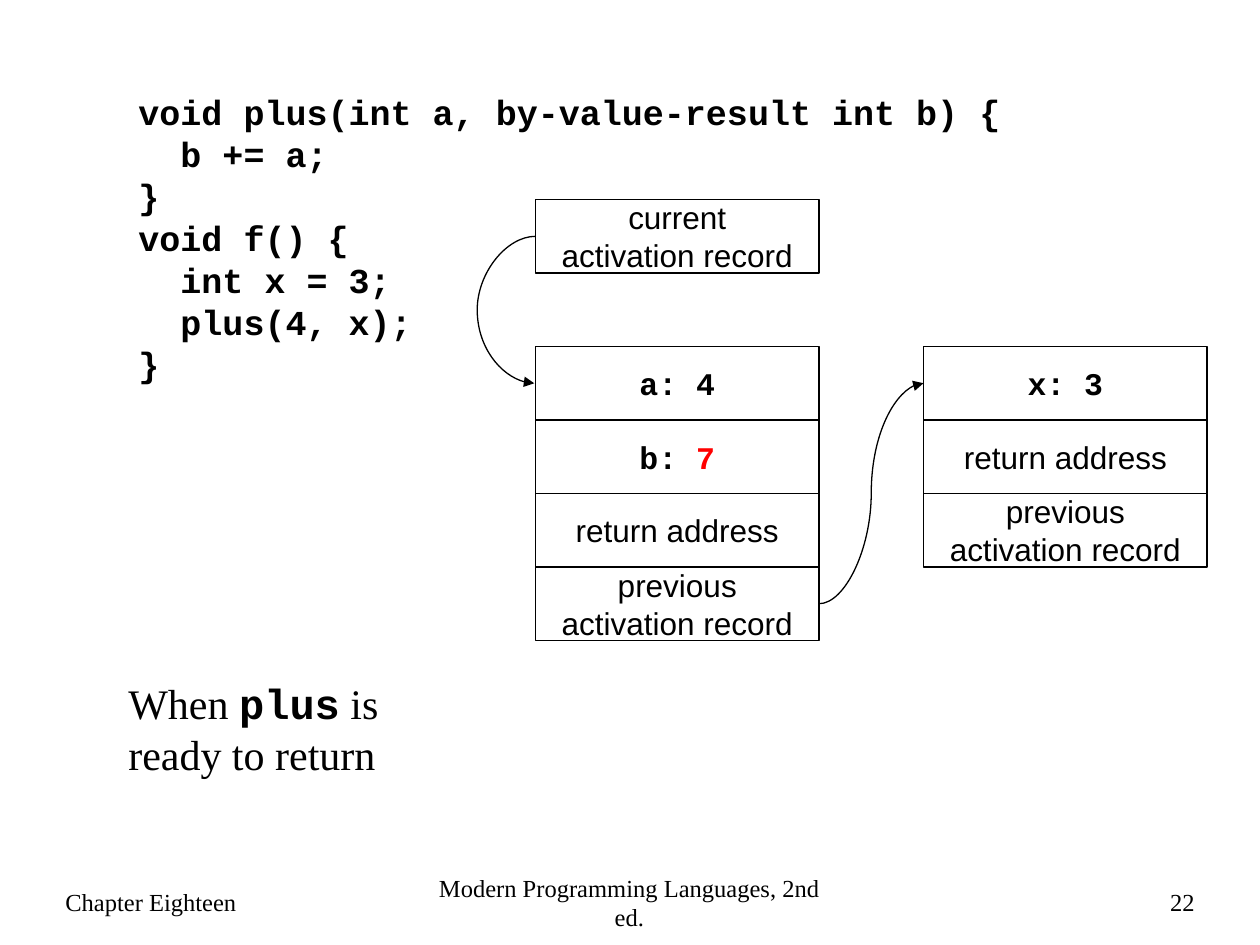
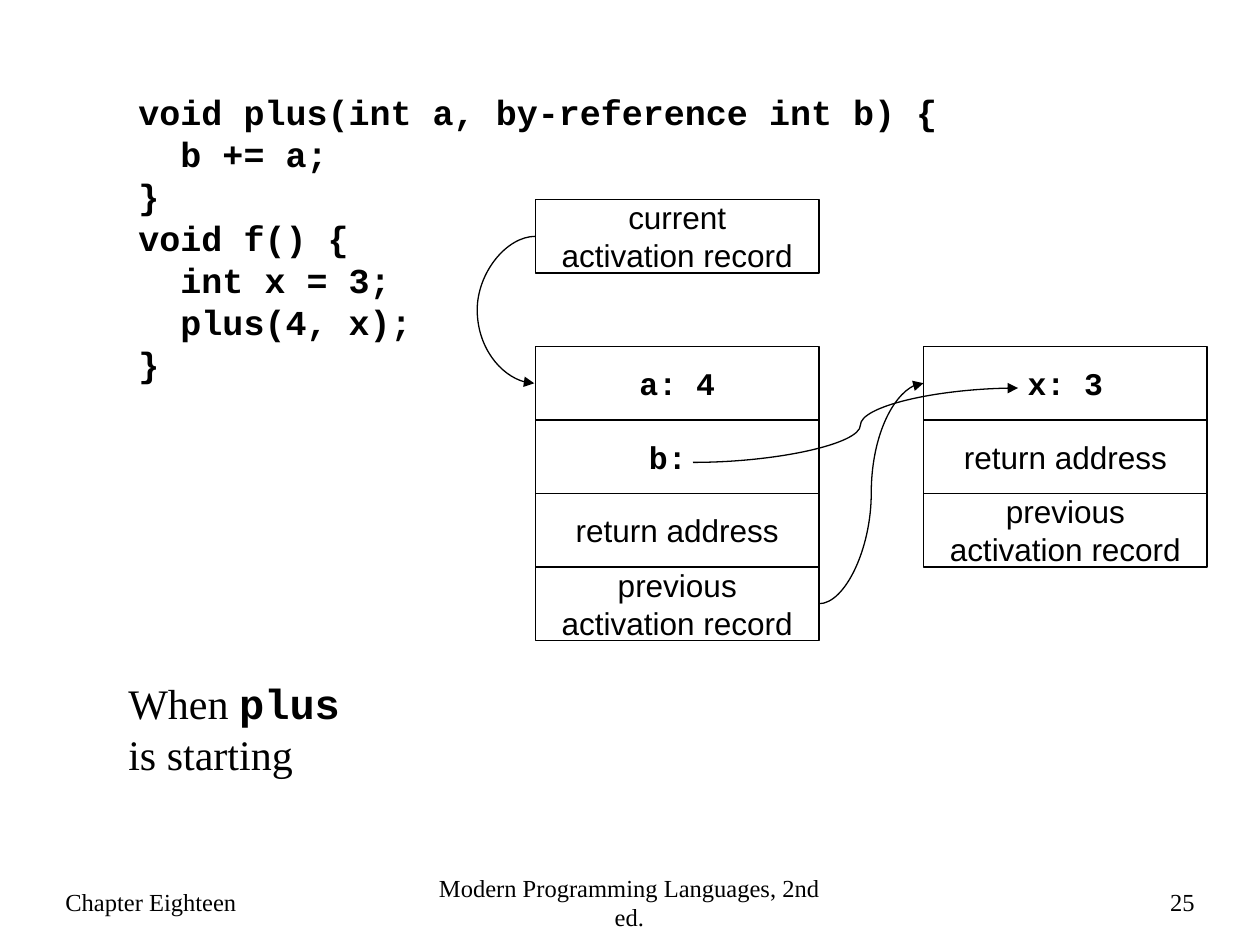
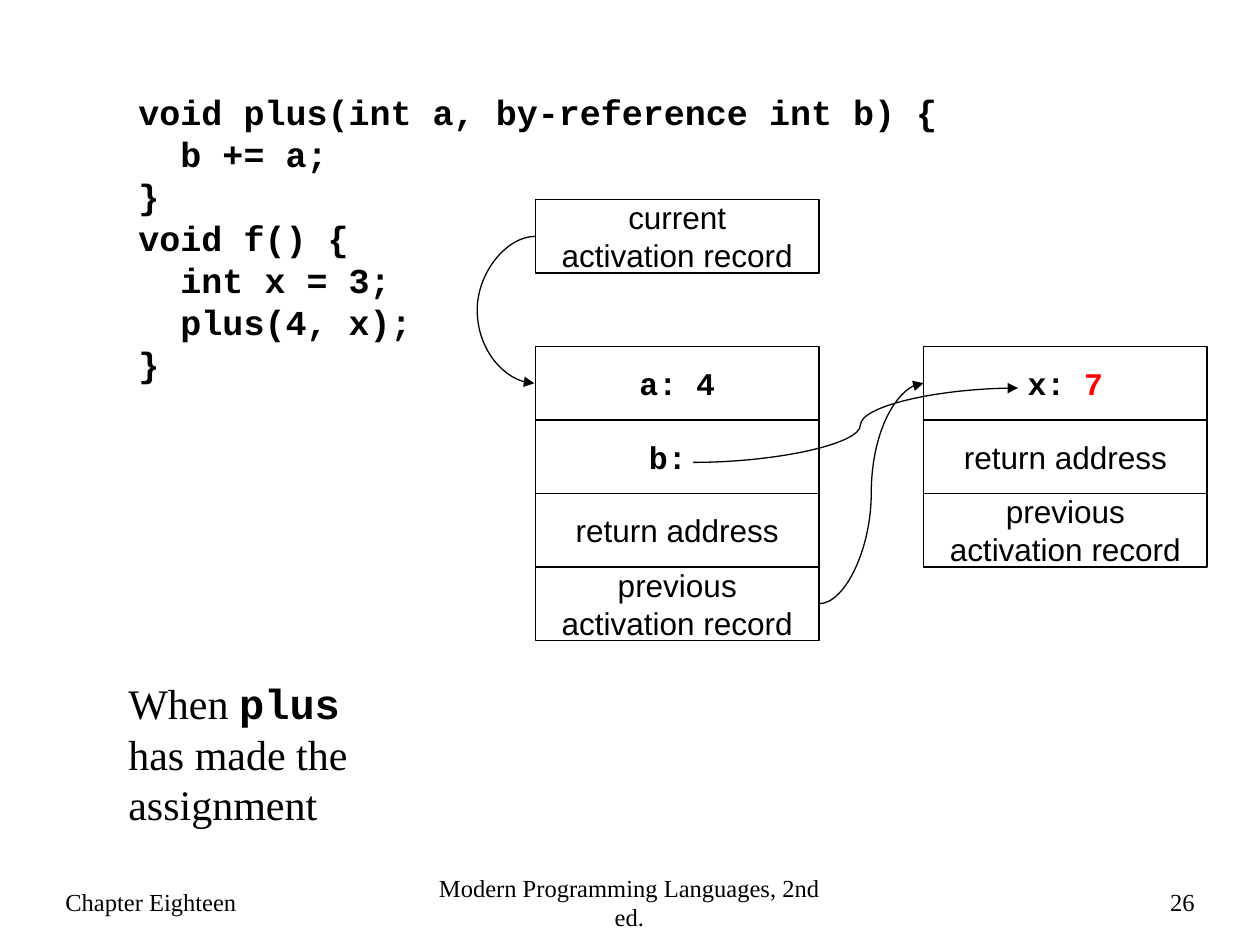
"""Builds three slides on activation records and parameter passing."""
from lxml.etree import SubElement
from pptx import Presentation
from pptx.dml.color import RGBColor
from pptx.enum.shapes import MSO_CONNECTOR, MSO_SHAPE
from pptx.enum.text import MSO_ANCHOR, MSO_AUTO_SIZE, PP_ALIGN
from pptx.oxml.ns import qn
from pptx.util import Inches, Pt

COLORS = {"ink": "000000", "changed": "FF0000"}
SERIF, SANS, MONO = "Times New Roman", "Arial", "Courier New"
ROW, BOX_W = 7 / 12, 2.25
RECORDS_TOP, CALLEE_X, CALLER_X = 2.75, 4.25, 7.33
LEFT_SITE, RIGHT_SITE = 1, 3
CODE = """void plus(int a, {} int b) {{
  b += a;
}}
void f() {{
  int x = 3;
  plus(4, x);
}}"""
SAVED = ["return address", "previous activation record"]


def rgb(name):
    return RGBColor.from_string(COLORS[name])


class Deck:
    def __init__(self):
        self.prs = Presentation()
        self.prs.slide_width, self.prs.slide_height = Inches(10), Inches(7.5)
        self.s = None

    def slide(self, number):
        self.s = self.prs.slides.add_slide(self.prs.slide_layouts[6])
        footers = [
            (0.42, 2.25, "Chapter Eighteen", PP_ALIGN.LEFT),
            (3.33, 3.33, "Modern Programming Languages, 2nd ed.", PP_ALIGN.CENTER),
            (7.5, 2.08, str(number), PP_ALIGN.RIGHT),
        ]
        for x, w, text, align in footers:
            tf = self.text_box(x, 6.91, w, 0.5)
            tf.vertical_anchor = MSO_ANCHOR.MIDDLE
            self.set_text(tf, text, SERIF, 14, align)

    def text_box(self, x, y, w, h):
        tf = self.s.shapes.add_textbox(Inches(x), Inches(y), Inches(w), Inches(h)).text_frame
        tf.word_wrap = True
        return tf

    def set_text(self, tf, text, font, size, align=PP_ALIGN.LEFT, bold=False):
        p = tf.paragraphs[0]
        p.text = text
        p.alignment = align
        p.font.name, p.font.size, p.font.bold = font, Pt(size), bold
        p.font.color.rgb = rgb("ink")
        return p

    def code(self, mode):
        tf = self.text_box(1, 0.67, 7.75, 2.43)
        tf.auto_size = MSO_AUTO_SIZE.SHAPE_TO_FIT_TEXT
        self.set_text(tf, CODE.format(mode), MONO, 20, bold=True)

    def caption(self, ending, w, h):
        tf = self.text_box(0.92, 5.33, w, h)
        tf.auto_size = MSO_AUTO_SIZE.SHAPE_TO_FIT_TEXT
        p = self.set_text(tf, "", SERIF, 24)
        for text, font in (("When ", SERIF), ("plus", MONO), (ending, SERIF)):
            r = p.add_run()
            r.text = text
            r.font.name, r.font.bold = font, font == MONO

    def box(self, x, y, text, font=SANS, changed=""):
        sp = self.s.shapes.add_shape(
            MSO_SHAPE.RECTANGLE, Inches(x), Inches(y), Inches(BOX_W), Inches(ROW))
        sp.shadow.inherit = False
        sp.fill.background()
        sp.line.color.rgb, sp.line.width = rgb("ink"), Pt(0.75)
        tf = sp.text_frame
        tf.word_wrap, tf.vertical_anchor = True, MSO_ANCHOR.MIDDLE
        p = self.set_text(tf, text, font, 18, PP_ALIGN.CENTER, font == MONO)
        if changed:
            r = p.add_run()
            r.text = changed
            r.font.color.rgb = rgb("changed")
        return sp

    def record(self, x, variables):
        rows = [(text, MONO, changed) for text, changed in variables]
        rows += [(text, SANS, "") for text in SAVED]
        return [self.box(x, RECORDS_TOP + i * ROW, *row) for i, row in enumerate(rows)]

    def arrow(self, start=(0, 0), end=(0, 0), bend=0.5):
        cxn = self.s.shapes.add_connector(
            MSO_CONNECTOR.CURVE, *(Inches(v) for v in (*start, *end)))
        cxn.line.color.rgb, cxn.line.width = rgb("ink"), Pt(0.75)
        spPr = cxn._element.spPr
        SubElement(spPr.find(qn("a:ln")), qn("a:tailEnd"), type="triangle")
        SubElement(spPr, qn("a:effectLst"))
        guides = spPr.find(qn("a:prstGeom")).find(qn("a:avLst"))
        SubElement(guides, qn("a:gd"), name="adj1", fmla=f"val {round(bend * 100000)}")
        return cxn

    def link(self, source, source_site, target, target_site, bend=0.5):
        cxn = self.arrow(bend=bend)
        cxn.begin_connect(source, source_site)
        cxn.end_connect(target, target_site)
        return cxn

    def loop(self, source, target, bulge=0.47, w=0.01):
        cxn = self.link(source, LEFT_SITE, target, LEFT_SITE, bulge / w)
        cxn.left, cxn.width = source.left - Inches(w), Inches(w)
        xfrm = cxn._element.spPr.find(qn("a:xfrm"))
        for flip in ("flipH", "flipV"):
            xfrm.attrib.pop(flip, None)
        xfrm.set("rot", "10800000")
        xfrm.set("flipV", "1")

    def records(self, b, x):
        caller = self.record(CALLER_X, [x])
        callee = self.record(CALLEE_X, [("a: 4", ""), b])
        current = self.box(CALLEE_X, RECORDS_TOP - 2 * ROW, "current\vactivation record")
        self.loop(current, callee[0])
        self.link(callee[-1], RIGHT_SITE, caller[0], LEFT_SITE)

    def reference(self):
        self.arrow((5.5, 3.67), (8.08, 3.08), 0.515)


deck = Deck()
SLIDES = [
    (22, "by-value-result", " is ready to return", 2.25, 0.9, ("b: ", "7"), ("x: 3", "")),
    (25, "by-reference", " is starting", 2.08, 0.9, ("b: ", ""), ("x: 3", "")),
    (26, "by-reference", " has made the assignment", 2.08, 1.3, ("b: ", ""), ("x: ", "7")),
]
for number, mode, ending, w, h, b, x in SLIDES:
    deck.slide(number)
    deck.code(mode)
    deck.caption(ending, w, h)
    deck.records(b, x)
    if mode == "by-reference":
        deck.reference()
deck.prs.save("out.pptx")
